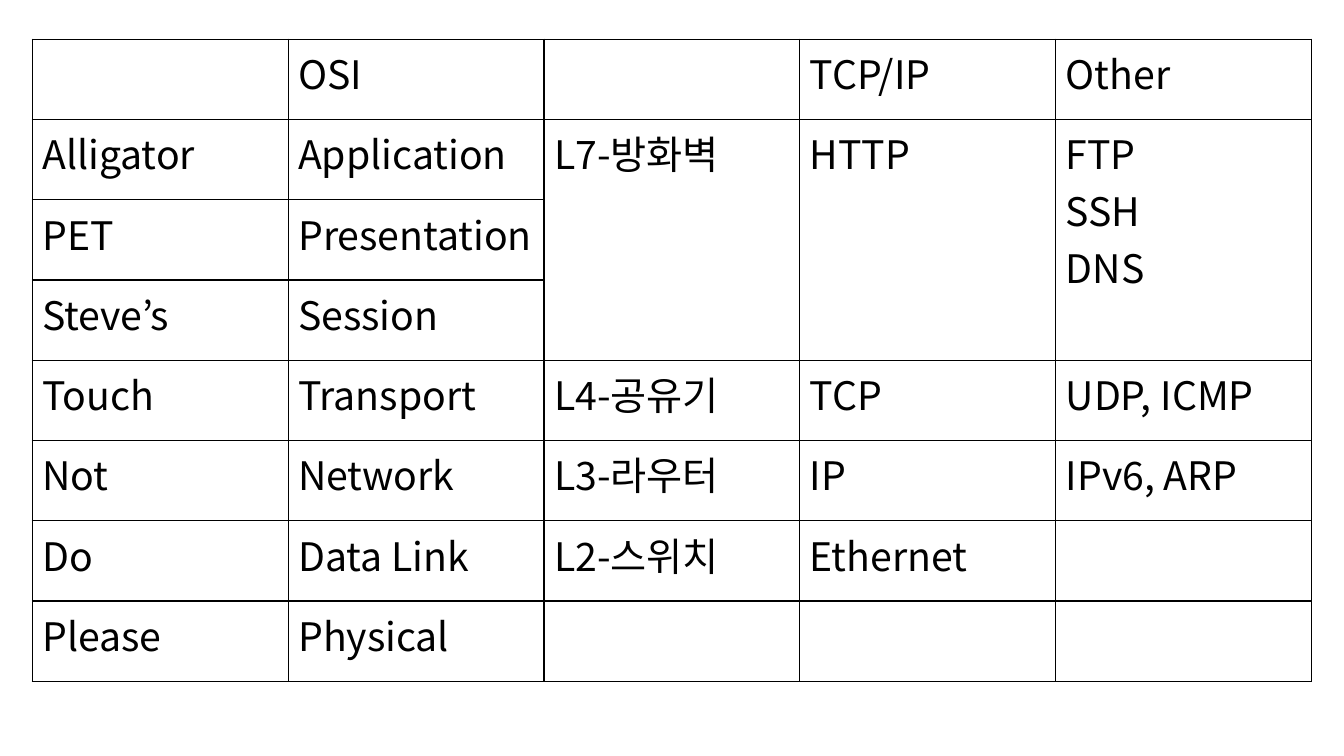
from lxml.etree import SubElement
from pptx import Presentation
from pptx.dml.color import RGBColor
from pptx.enum.text import MSO_ANCHOR
from pptx.oxml import parse_xml
from pptx.oxml.ns import nsdecls, qn
from pptx.util import Inches, Pt

FONT = "Noto Sans CJK KR"
INK = "000000"
LEFT, TOP = Inches(0.32), Inches(0.39)
COLUMN, ROW = Inches(12.69 / 5), Inches(6.37 / 8)

LAYERS = [
    ["", "OSI", "", "TCP/IP", "Other"],
    ["Alligator", "Application", "L7-방화벽", "HTTP", "FTP\nSSH\nDNS"],
    ["PET", "Presentation", "", "", ""],
    ["Steve’s", "Session", "", "", ""],
    ["Touch", "Transport", "L4-공유기", "TCP", "UDP, ICMP"],
    ["Not", "Network", "L3-라우터", "IP", "IPv6, ARP"],
    ["Do", "Data Link", "L2-스위치", "Ethernet", ""],
    ["Please", "Physical", "", "", ""],
]
MERGED_COLUMNS = (2, 3, 4)
MERGED_ROWS = (1, 3)


def color(value):
    return RGBColor.from_string(value)


def add_run(paragraph, words):
    run = paragraph.add_run()
    run.text = words
    run.font.size = Pt(28)
    run.font.name = FONT
    run.font.color.rgb = color(INK)
    SubElement(run.font._element, qn("a:ea"), typeface=FONT)


def write_cell(cell, words):
    cell.vertical_anchor = MSO_ANCHOR.TOP
    frame = cell.text_frame
    for index, line in enumerate(words.split("\n") if words else []):
        add_run(frame.add_paragraph() if index else frame.paragraphs[0], line)


def draw_borders(cell):
    cell.fill.background()
    properties = cell._tc.get_or_add_tcPr()
    for position, side in enumerate("LRTB"):
        properties.insert(position, parse_xml(
            f'<a:ln{side} {nsdecls("a")} w="{Pt(1)}"><a:solidFill>'
            f'<a:srgbClr val="{color(INK)}"/></a:solidFill></a:ln{side}>'))


def add_layer_table(slide):
    row_count, column_count = len(LAYERS), len(LAYERS[0])
    table = slide.shapes.add_table(
        row_count, column_count, LEFT, TOP,
        COLUMN * column_count, ROW * row_count).table
    table.first_row = False
    table.horz_banding = False
    for row, layer in enumerate(LAYERS):
        for column, words in enumerate(layer):
            cell = table.cell(row, column)
            write_cell(cell, words)
            draw_borders(cell)
    first, last = MERGED_ROWS
    for column in MERGED_COLUMNS:
        table.cell(first, column).merge(table.cell(last, column))


def main():
    deck = Presentation()
    deck.slide_width, deck.slide_height = Inches(13.33), Inches(7.5)
    slide = deck.slides.add_slide(deck.slide_layouts[6])
    add_layer_table(slide)
    deck.save("out.pptx")


if __name__ == "__main__":
    main()
